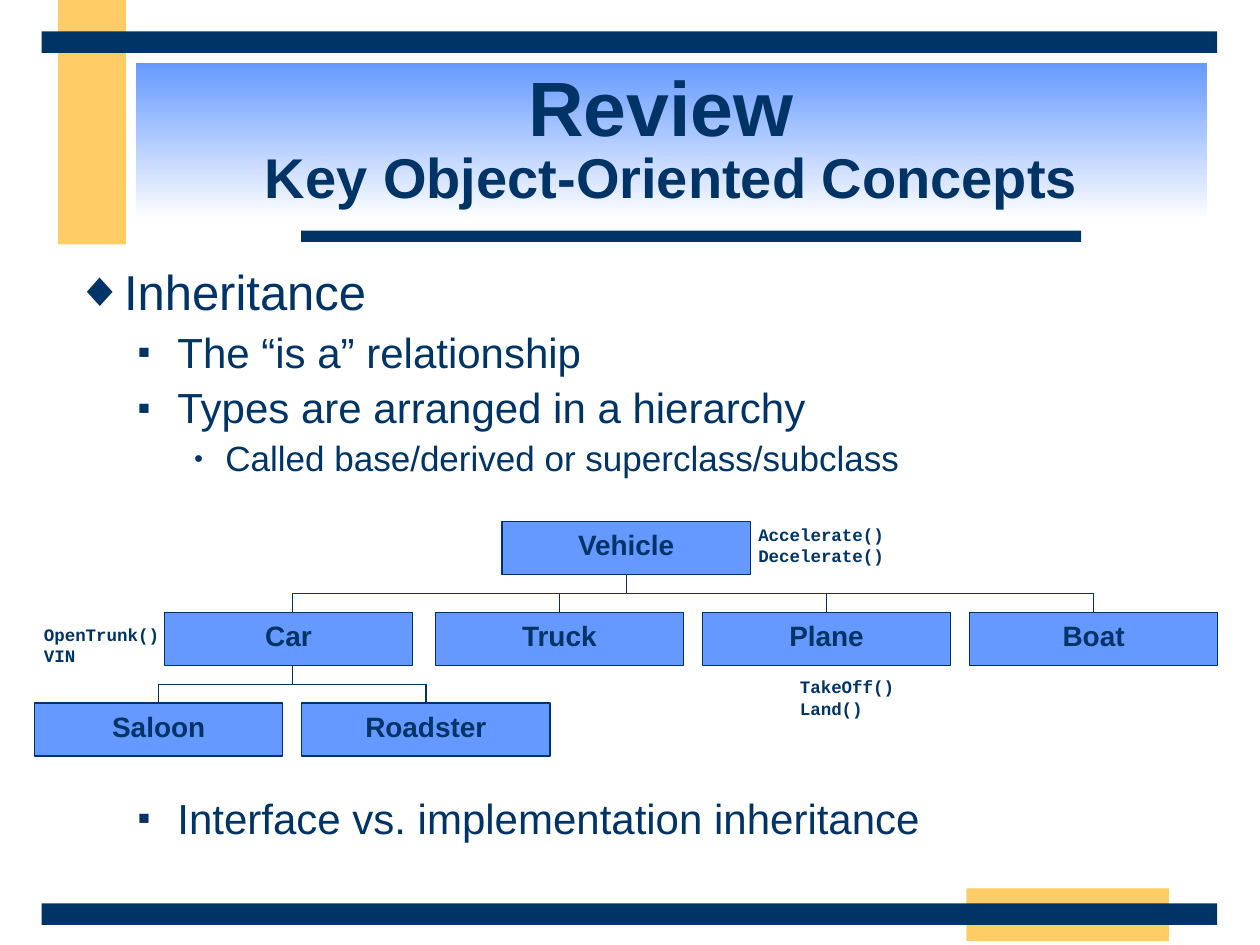
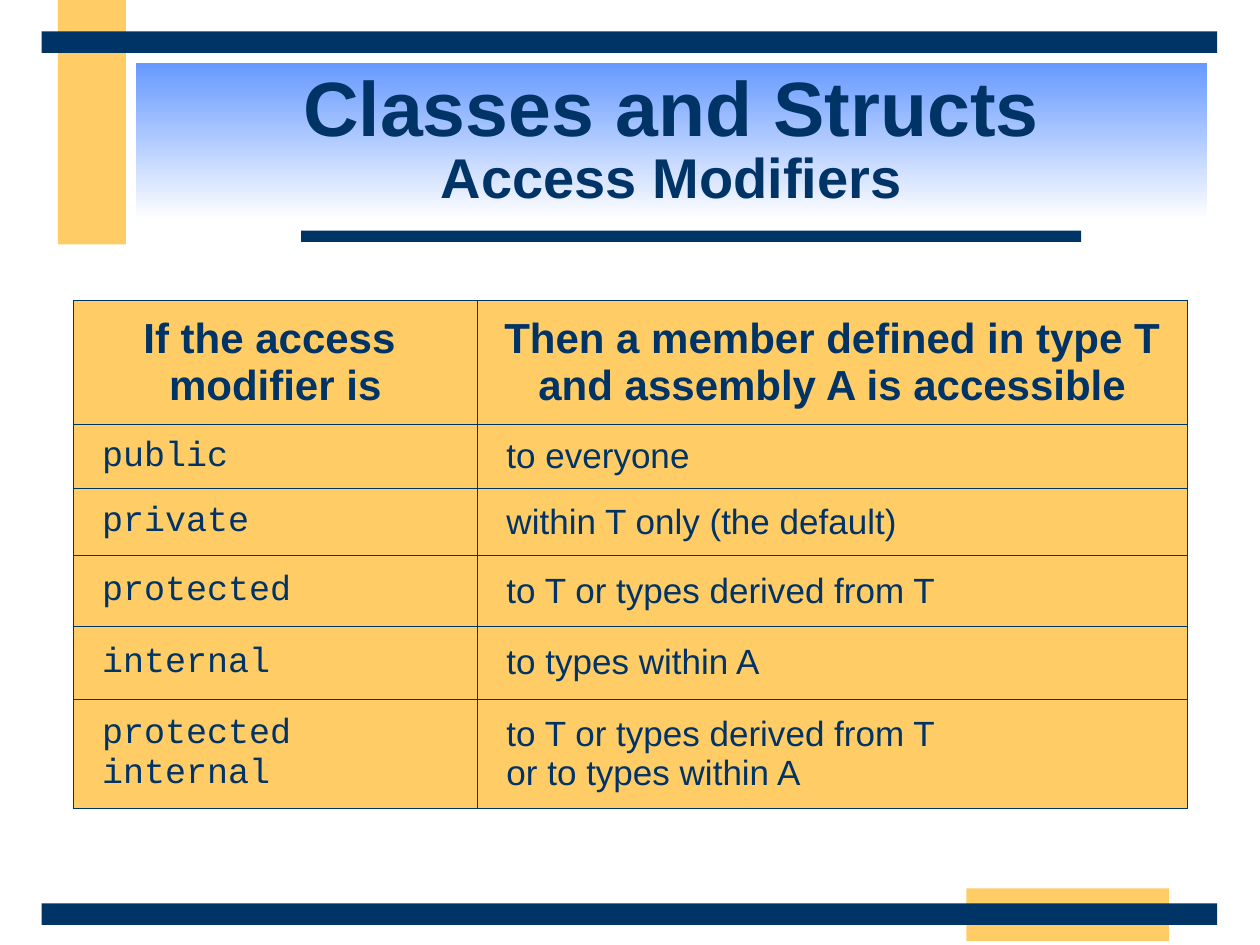
from dataclasses import dataclass
from itertools import pairwise

from lxml.etree import SubElement
from pptx import Presentation
from pptx.dml.color import RGBColor
from pptx.enum.shapes import MSO_CONNECTOR, MSO_SHAPE
from pptx.enum.text import MSO_ANCHOR, MSO_AUTO_SIZE, PP_ALIGN
from pptx.oxml.ns import qn
from pptx.util import Inches, Pt

NAVY = RGBColor(0x00, 0x33, 0x66)
BLUE = RGBColor(0x66, 0x99, 0xFF)
GOLD = RGBColor(0xFF, 0xCC, 0x66)
WHITE = RGBColor(0xFF, 0xFF, 0xFF)
SANS = "Arial"
MONO = "Courier New"

BOX_WIDTH = 1.97
BOX_HEIGHT = 0.42
SIBLING_PITCH = 2.12
TOP, BOTTOM = 0, 2


@dataclass(frozen=True)
class Band:
    left: float
    top: float
    width: float
    height: float
    color: RGBColor


@dataclass(frozen=True)
class BulletLevel:
    mark: str
    mark_percent: int
    margin: float
    hanging: float
    size: int
    space_before: int


@dataclass(frozen=True)
class Point:
    text: str
    level: int
    space_before: int | None = None


@dataclass(frozen=True)
class TypeBox:
    name: str
    axis: float
    top: float
    shift: float = 0.0


@dataclass(frozen=True)
class MemberNote:
    members: tuple[str, ...]
    left: float
    top: float
    width: float


BANDS = (
    Band(0.46, 0, 0.54, 1.94, GOLD),
    Band(7.67, 7.05, 1.61, 0.42, GOLD),
    Band(2.39, 1.83, 6.19, 0.09, NAVY),
    Band(0.33, 7.17, 9.33, 0.17, NAVY),
    Band(0.33, 0.25, 9.33, 0.17, NAVY),
)

BULLET_LEVELS = (
    BulletLevel("◆", 100, 0.38, 0.38, 28, 0),
    BulletLevel("■", 45, 0.81, 0.31, 24, 6),
    BulletLevel("●", 45, 1.19, 0.25, 20, 5),
)

INHERITANCE_POINTS = (
    Point("Inheritance", 0),
    Point("The “is a” relationship", 1),
    Point("Types are arranged in a hierarchy", 1),
    Point("Called base/derived or superclass/subclass", 2),
    Point("Interface vs. implementation inheritance", 1, 182),
)

VEHICLE = TypeBox("Vehicle", 4.97, 4.14)
CAR = TypeBox("Car", 2.32, 4.86, -0.03)
VEHICLE_KINDS = (CAR,) + tuple(
    TypeBox(name, CAR.axis + SIBLING_PITCH * step, CAR.top)
    for step, name in enumerate(("Truck", "Plane", "Boat"), start=1)
)
CAR_MODELS = tuple(
    TypeBox(name, CAR.axis + SIBLING_PITCH * side, 5.58)
    for name, side in (("Saloon", -0.5), ("Roadster", 0.5))
)

MEMBER_NOTES = (
    MemberNote(("Accelerate()", "Decelerate()"), 5.92, 4.11, 1.2),
    MemberNote(("TakeOff()", "Land()"), 6.25, 5.32, 0.95),
    MemberNote(("OpenTrunk()", "VIN"), 0.25, 4.9, 1.11),
)

MODIFIER_COLUMNS = (3.21, 5.63)
MODIFIER_ROW_HEIGHTS = (0.99, 0.51, 0.53, 0.56, 0.58, 0.87)
MODIFIER_ROWS = (
    ("If the access \nmodifier is",
     "Then a member defined in type T and assembly A is accessible"),
    ("public", "to everyone"),
    ("private", "within T only (the default)"),
    ("protected", "to T or types derived from T"),
    ("internal", "to types within A"),
    ("protected internal", "to T or types derived from T\nor to types within A"),
)


def set_font(target, size: int | None, name: str = SANS, bold: bool = False) -> None:
    font = target.font
    font.name = name
    font.bold = bold
    font.color.rgb = NAVY
    if size:
        font.size = Pt(size)


def add_rectangle(slide, left: float, top: float, width: float, height: float):
    rectangle = slide.shapes.add_shape(
        MSO_SHAPE.RECTANGLE, Inches(left), Inches(top), Inches(width), Inches(height))
    rectangle.shadow.inherit = False
    rectangle.line.fill.background()
    return rectangle


def add_band(slide, band: Band) -> None:
    strip = add_rectangle(slide, band.left, band.top, band.width, band.height)
    strip.fill.solid()
    strip.fill.fore_color.rgb = band.color


def add_title(slide, topic: str, subtopic: str) -> None:
    title = add_rectangle(slide, 1.08, 0.5, 8.5, 1.25)
    title.fill.gradient()
    title.fill.gradient_angle = 270
    for stop, color in zip(title.fill.gradient_stops, (BLUE, WHITE)):
        stop.color.rgb = color
    title.text_frame.word_wrap = True
    heading = title.text_frame.paragraphs[0]
    heading.alignment = PP_ALIGN.CENTER
    heading.line_spacing = 0.85
    set_font(heading, None, bold=True)
    topic_run = heading.add_run()
    topic_run.text = topic
    topic_run.font.size = Pt(44)
    heading.add_line_break()
    subtopic_run = heading.add_run()
    subtopic_run.text = subtopic
    subtopic_run.font.size = Pt(32)


def add_framed_slide(deck, topic: str, subtopic: str):
    slide = deck.slides.add_slide(deck.slide_layouts[6])
    for band in BANDS:
        add_band(slide, band)
    add_title(slide, topic, subtopic)
    return slide


def set_bullet(paragraph, level: BulletLevel) -> None:
    properties = paragraph._p.get_or_add_pPr()
    properties.set("marL", str(Inches(level.margin)))
    properties.set("indent", str(-Inches(level.hanging)))
    bullet_color = SubElement(properties, qn("a:buClr"))
    SubElement(bullet_color, qn("a:srgbClr"), val=str(NAVY))
    SubElement(properties, qn("a:buSzPct"), val=str(level.mark_percent * 1000))
    SubElement(properties, qn("a:buFont"), typeface=SANS)
    SubElement(properties, qn("a:buChar"), char=level.mark)


def add_points(slide, points: tuple[Point, ...]) -> None:
    body = slide.shapes.add_textbox(Inches(0.5), Inches(2.08), Inches(9), Inches(4.92))
    frame = body.text_frame
    frame.word_wrap = True
    for index, point in enumerate(points):
        paragraph = frame.add_paragraph() if index else frame.paragraphs[0]
        level = BULLET_LEVELS[point.level]
        paragraph.text = point.text
        paragraph.level = point.level
        paragraph.line_spacing = 0.9
        paragraph.space_before = Pt(point.space_before or level.space_before)
        set_bullet(paragraph, level)
        set_font(paragraph, level.size)


def add_type_box(slide, kind: TypeBox):
    left = kind.axis - BOX_WIDTH / 2 + kind.shift
    box = add_rectangle(slide, left, kind.top, BOX_WIDTH, BOX_HEIGHT)
    box.fill.solid()
    box.fill.fore_color.rgb = BLUE
    box.line.color.rgb = NAVY
    box.line.width = Pt(0.75)
    box.text_frame.vertical_anchor = MSO_ANCHOR.TOP
    label = box.text_frame.paragraphs[0]
    label.text = kind.name
    label.alignment = PP_ALIGN.CENTER
    set_font(label, 16, bold=True)
    return box


def add_branch(slide, x1: float, y1: float, x2: float, y2: float):
    branch = slide.shapes.add_connector(
        MSO_CONNECTOR.STRAIGHT, Inches(x1), Inches(y1), Inches(x2), Inches(y2))
    branch.line.color.rgb = NAVY
    branch.line.width = Pt(0.75)
    SubElement(branch._element.spPr, qn("a:effectLst"))
    return branch


def add_family(slide, parent: TypeBox, children: tuple[TypeBox, ...], boxes: dict) -> None:
    parent_bottom = parent.top + BOX_HEIGHT
    rail = (parent_bottom + children[0].top) / 2
    stem = add_branch(slide, parent.axis, parent_bottom, parent.axis, rail)
    if not parent.shift:
        stem.begin_connect(boxes[parent], BOTTOM)
    for child in children:
        drop = add_branch(slide, child.axis, rail, child.axis, child.top)
        if not child.shift:
            drop.end_connect(boxes[child], TOP)
    for start, end in pairwise(sorted(kind.axis for kind in (parent, *children))):
        add_branch(slide, start, rail, end, rail)


def add_member_note(slide, note: MemberNote) -> None:
    caption = slide.shapes.add_textbox(
        Inches(note.left), Inches(note.top), Inches(note.width), Inches(0.44))
    frame = caption.text_frame
    frame.word_wrap = False
    frame.auto_size = MSO_AUTO_SIZE.SHAPE_TO_FIT_TEXT
    frame.text = "\n".join(note.members)
    for member in frame.paragraphs:
        set_font(member, 10, MONO, bold=True)


def set_borders(cell) -> None:
    properties = cell._tc.get_or_add_tcPr()
    for side in ("a:lnL", "a:lnR", "a:lnT", "a:lnB"):
        border = SubElement(properties, qn(side), w=str(Pt(0.45)))
        fill = SubElement(border, qn("a:solidFill"))
        SubElement(fill, qn("a:srgbClr"), val=str(NAVY))


def fill_modifier_cell(cell, text: str, is_header: bool, is_keyword: bool) -> None:
    set_borders(cell)
    cell.fill.solid()
    cell.fill.fore_color.rgb = GOLD
    cell.vertical_anchor = MSO_ANCHOR.MIDDLE
    paragraph = cell.text_frame.paragraphs[0]
    paragraph.text = text
    if is_header:
        paragraph.alignment = PP_ALIGN.CENTER
        set_font(paragraph, 24, bold=True)
    else:
        paragraph._p.get_or_add_pPr().set("marL", str(Inches(0.13)))
        set_font(paragraph, 20, MONO if is_keyword else SANS)


def add_modifier_table(slide) -> None:
    table = slide.shapes.add_table(
        len(MODIFIER_ROWS), len(MODIFIER_COLUMNS),
        Inches(0.58), Inches(2.38), Inches(8.83), Inches(4.03)).table
    table.first_row = False
    table.horz_banding = False
    for column, width in zip(table.columns, MODIFIER_COLUMNS):
        column.width = Inches(width)
    for row, height in zip(table.rows, MODIFIER_ROW_HEIGHTS):
        row.height = Inches(height)
    for row_index, texts in enumerate(MODIFIER_ROWS):
        for column_index, text in enumerate(texts):
            fill_modifier_cell(table.cell(row_index, column_index), text,
                               row_index == 0, column_index == 0)


def main() -> None:
    deck = Presentation()
    deck.slide_width = Inches(10)
    deck.slide_height = Inches(7.5)

    review = add_framed_slide(deck, "Review ", "Key Object-Oriented Concepts")
    add_points(review, INHERITANCE_POINTS)
    boxes = {kind: add_type_box(review, kind)
             for kind in (*CAR_MODELS, *VEHICLE_KINDS, VEHICLE)}
    add_family(review, VEHICLE, VEHICLE_KINDS, boxes)
    add_family(review, CAR, CAR_MODELS, boxes)
    for note in MEMBER_NOTES:
        add_member_note(review, note)

    access = add_framed_slide(deck, "Classes and Structs", "Access Modifiers")
    add_modifier_table(access)

    deck.save("out.pptx")


if __name__ == "__main__":
    main()
